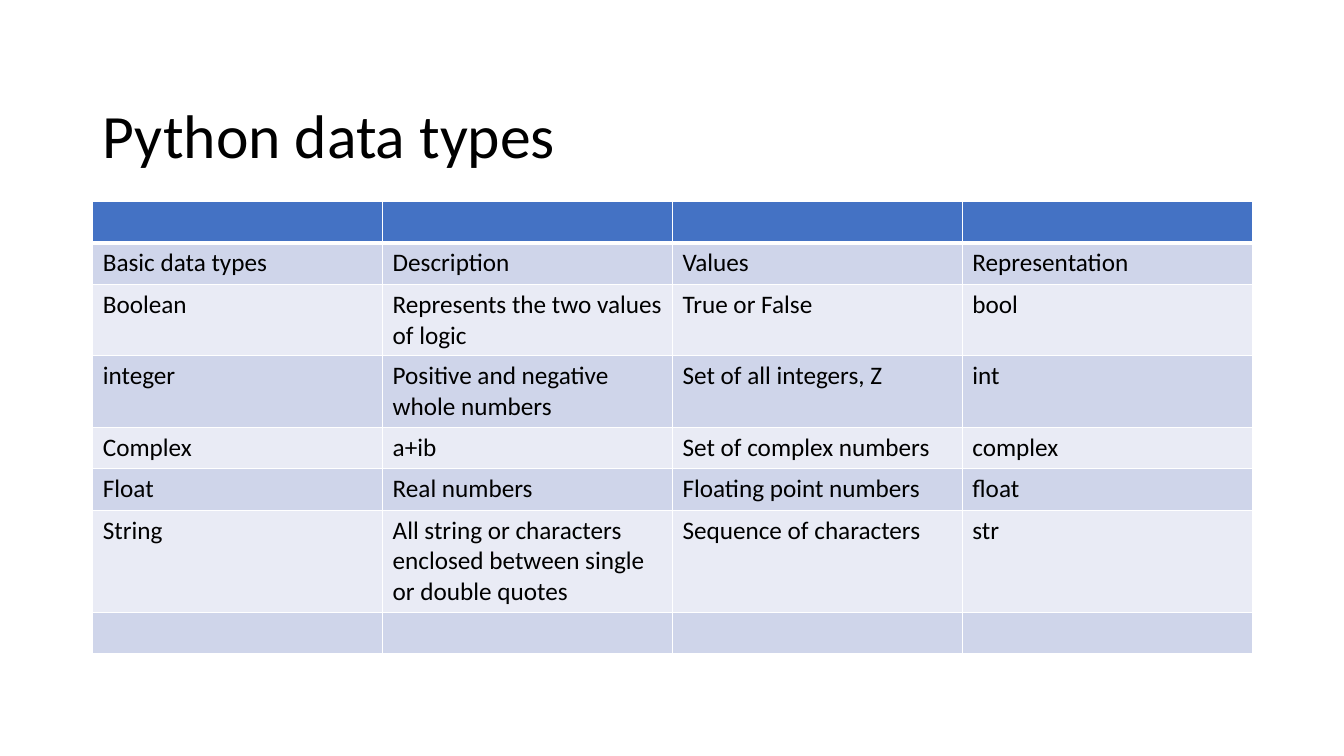
import pptx
import pptx.dml.color
import pptx.enum.text
import pptx.oxml
import pptx.oxml.ns
import pptx.util
from pptx.util import Inches

RGBColor = pptx.dml.color.RGBColor
BLACK = RGBColor(0x00, 0x00, 0x00)
WHITE = RGBColor(0xFF, 0xFF, 0xFF)
HEADER_BLUE = RGBColor(0x44, 0x72, 0xC4)
DARK_BAND = RGBColor(0xCF, 0xD5, 0xEA)
LIGHT_BAND = RGBColor(0xE9, 0xEB, 0xF5)

BLANK_ROW = ("", "", "", "")
ROWS = [
    BLANK_ROW,
    ("Basic data types", "Description", "Values", "Representation"),
    ("Boolean", "Represents the two values\nof logic", "True or False", "bool"),
    ("integer", "Positive and negative whole numbers", "Set of all integers, Z", "int"),
    ("Complex", "a+ib", "Set of complex numbers", "complex"),
    ("Float", "Real numbers", "Floating point numbers", "float"),
    ("String", "All string or characters enclosed between single or double quotes",
     "Sequence of characters", "str"),
    BLANK_ROW,
]


def add_text(para, text, size):
    span = para.add_run()
    span.text = text
    span.font.name = "Calibri"
    span.font.size = pptx.util.Pt(size)
    span.font.color.rgb = BLACK


def add_border(cell, side, points):
    """Draw a white line on one side (L, R, T or B); call before filling the cell."""
    line = pptx.oxml.parse_xml(
        f'<a:ln{side} {pptx.oxml.ns.nsdecls("a")} w="{pptx.util.Pt(points)}">'
        f'<a:solidFill><a:srgbClr val="{WHITE}"/></a:solidFill></a:ln{side}>'
    )
    cell._tc.get_or_add_tcPr().append(line)


deck = pptx.Presentation()
deck.slide_width = Inches(13.33)
deck.slide_height = Inches(7.5)
page = deck.slides.add_slide(deck.slide_layouts[5])
page.background.fill.solid()
page.background.fill.fore_color.rgb = WHITE

# Title
title = page.shapes.title
title.left, title.top = Inches(0.92), Inches(0.65)
title.width, title.height = Inches(11.5), Inches(1.45)
title.text_frame.auto_size = pptx.enum.text.MSO_AUTO_SIZE.NONE
title.text_frame.vertical_anchor = pptx.enum.text.MSO_ANCHOR.MIDDLE
title_para = title.text_frame.paragraphs[0]
title_para.alignment = pptx.enum.text.PP_ALIGN.LEFT
title_para.line_spacing = 0.9
add_text(title_para, "Python data types", 44)

# Table of data types
row_height = 0.41
table = page.shapes.add_table(
    len(ROWS), len(ROWS[0]),
    Inches(0.92), Inches(2), Inches(11.5), Inches(row_height * len(ROWS)),
).table
for row_index, row in enumerate(ROWS):
    table.rows[row_index].height = Inches(row_height)
    if row_index == 0:
        fill_color = HEADER_BLUE
    else:
        fill_color = DARK_BAND if row_index % 2 else LIGHT_BAND
    for column_index, text in enumerate(row):
        cell = table.cell(row_index, column_index)
        add_border(cell, "L", 1)
        add_border(cell, "R", 1)
        add_border(cell, "T", 3 if row_index == 1 else 1)
        add_border(cell, "B", 3 if row_index == 0 else 1)
        cell.fill.solid()
        cell.fill.fore_color.rgb = fill_color
        if text:
            for line_index, line in enumerate(text.split("\n")):
                frame = cell.text_frame
                para = frame.add_paragraph() if line_index else frame.paragraphs[0]
                add_text(para, line, 18)

deck.save("out.pptx")
